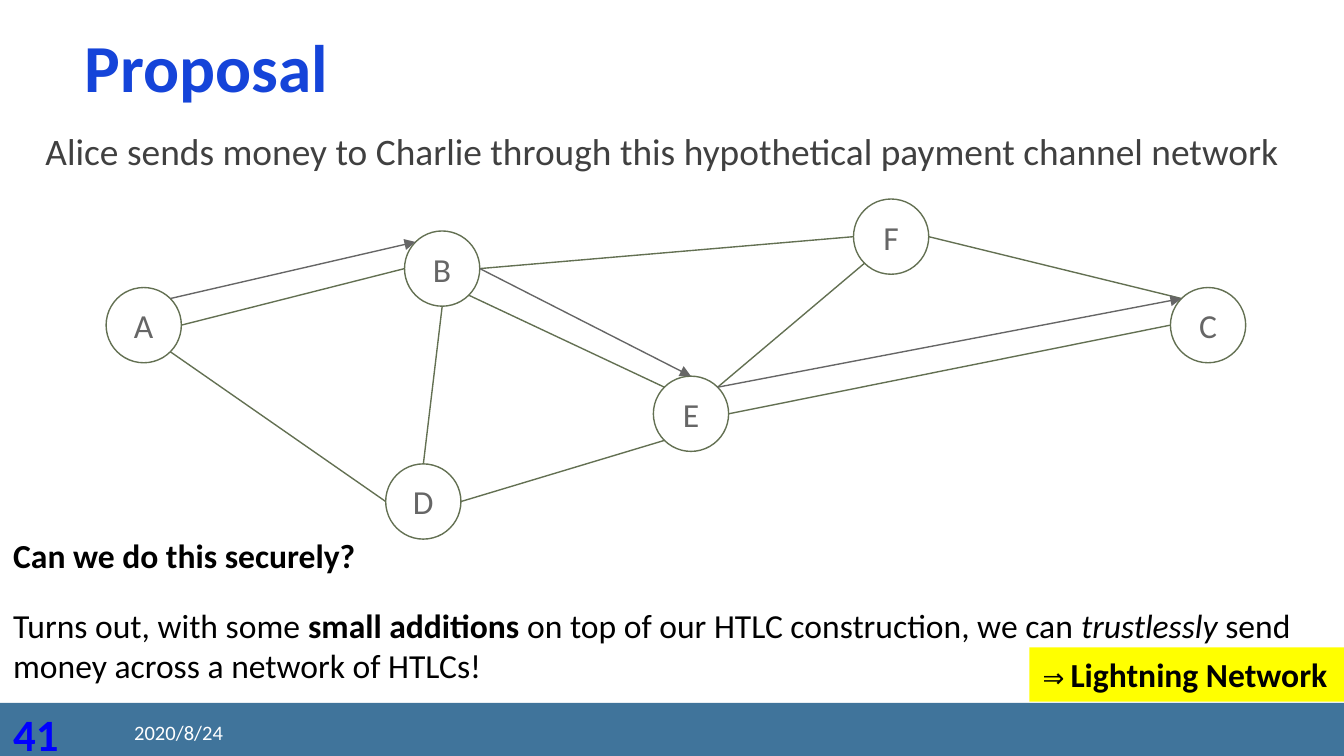
import math

import pptx
import pptx.dml.color
import pptx.enum.shapes
import pptx.enum.text
import pptx.util
import lxml.etree
import pptx.oxml.ns

Pt = pptx.util.Pt
RGB = pptx.dml.color.RGBColor
SHAPE = pptx.enum.shapes.MSO_SHAPE
ANCHOR = pptx.enum.text.MSO_ANCHOR
ALIGN = pptx.enum.text.PP_ALIGN

WHITE = RGB(0xFF, 0xFF, 0xFF)
BLACK = RGB(0x00, 0x00, 0x00)
BLUE = RGB(0x15, 0x44, 0xD9)
PAGE = RGB(0x00, 0x00, 0xFF)
STEEL = RGB(0x40, 0x74, 0x9B)
YELLOW = RGB(0xFF, 0xFF, 0x00)
DARK = RGB(0x40, 0x40, 0x40)
GREY = RGB(0x66, 0x66, 0x66)
OLIVE = RGB(0x63, 0x70, 0x52)

FONT = "Calibri"
SIZE = 40.3
NODES = {
    "A": (77, 174.2),
    "B": (236.9, 143.9),
    "D": (226.8, 268.7),
    "E": (370.2, 221.7),
    "F": (477.4, 126.8),
    "C": (647.2, 174.2),
}
ANGLES = {"E": 0, "SE": 45, "S": 90, "SW": 135, "W": 180, "NW": 225, "N": 270, "NE": 315}
LINKS = [
    ("A", "E", "B", "W"),
    ("A", "SE", "D", "W"),
    ("D", "N", "B", "S"),
    ("B", "E", "F", "W"),
    ("B", "SE", "E", "NW"),
    ("D", "E", "E", "SW"),
    ("E", "E", "C", "W"),
    ("F", "E", "C", "NW"),
    ("E", "NE", "F", "SW"),
]
HOPS = [("A", "NE", "B", "NW"), ("B", "E", "E", "N"), ("E", "NE", "C", "NW")]


def add_run(para, text, size, color, bold=False, italic=False):
    """Append one styled run to a paragraph."""
    run = para.add_run()
    run.text = text
    font = run.font
    font.name, font.size = FONT, Pt(size)
    font.bold, font.italic = bold, italic
    font.color.rgb = color


def set_frame(frame, side=7.2, top=3.6, anchor=ANCHOR.TOP, wrap=True):
    """Set the margins, anchor and wrapping of a text frame."""
    frame.auto_size = pptx.enum.text.MSO_AUTO_SIZE.NONE
    frame.margin_left = frame.margin_right = Pt(side)
    frame.margin_top = frame.margin_bottom = Pt(top)
    frame.vertical_anchor = anchor
    frame.word_wrap = wrap
    return frame


def add_box(slide, place, **style):
    """Add a text box and return its frame."""
    box = slide.shapes.add_textbox(*map(Pt, place))
    return set_frame(box.text_frame, **style)


def add_rect(slide, place, color):
    """Add a plain filled rectangle."""
    rect = slide.shapes.add_shape(SHAPE.RECTANGLE, *map(Pt, place))
    rect.shadow.inherit = False
    rect.fill.solid()
    rect.fill.fore_color.rgb = color
    rect.line.fill.background()
    return rect


def set_title(slide, text):
    """Place and fill the title."""
    title = slide.shapes.title
    title.left, title.top, title.width, title.height = map(Pt, (38.2, 11.5, 662.4, 46.8))
    para = set_frame(title.text_frame, top=7.2).paragraphs[0]
    para.alignment, para.line_spacing = ALIGN.LEFT, 0.9
    add_run(para, text, 36, BLUE, bold=True)


def add_node(slide, name):
    """Add one lettered circle of the network."""
    x, y = NODES[name]
    place = (x - SIZE / 2, y - SIZE / 2, SIZE, SIZE)
    node = slide.shapes.add_shape(SHAPE.OVAL, *map(Pt, place))
    node.shadow.inherit = False
    node.fill.background()
    node.line.color.rgb, node.line.width = OLIVE, Pt(0.75)
    para = set_frame(node.text_frame, top=7.2, anchor=ANCHOR.MIDDLE).paragraphs[0]
    para.alignment = ALIGN.CENTER
    add_run(para, name, 18, GREY)


def find_rim(name, side):
    """Return the point on a node's rim at a compass side."""
    x, y = NODES[name]
    turn = math.radians(ANGLES[side])
    return Pt(x + SIZE / 2 * math.cos(turn)), Pt(y + SIZE / 2 * math.sin(turn))


def add_link(slide, link, color, arrow=False):
    """Join two nodes with a line or an arrow."""
    start, side, end, face = link
    line = slide.shapes.add_connector(
        pptx.enum.shapes.MSO_CONNECTOR.STRAIGHT, *find_rim(start, side), *find_rim(end, face)
    )
    line.line.color.rgb, line.line.width = color, Pt(0.75)
    qn = pptx.oxml.ns.qn
    if arrow:
        lxml.etree.SubElement(line.line._get_or_add_ln(), qn("a:tailEnd"), type="triangle")
    lxml.etree.SubElement(line._element.spPr, qn("a:effectLst"))


def add_footer(slide):
    """Add the bottom band with page number and date."""
    add_rect(slide, (0, 376.6, 720, 28.4), STEEL)
    page = add_box(slide, (0, 375.1, 49.7, 28.8))
    add_run(page.paragraphs[0], "41", 24, PAGE, bold=True)
    date = add_box(slide, (64.8, 381.6, 146.2, 21.6), anchor=ANCHOR.MIDDLE)
    add_run(date.paragraphs[0], "2020/8/24", 11, WHITE)


def add_answer(slide):
    """Add the closing question, its answer and the highlighted name."""
    frame = add_box(slide, (0, 283, 720, 88.6))
    add_run(frame.paragraphs[0], "Can we do this securely?", 18, BLACK, bold=True)
    para = frame.add_paragraph()
    para.space_before = Pt(16)
    add_run(para, "Turns out, with some ", 18, BLACK)
    add_run(para, "small additions ", 18, BLACK, bold=True)
    add_run(para, "on top of our HTLC construction, we can ", 18, BLACK)
    add_run(para, "trustlessly", 18, BLACK, italic=True)
    add_run(para, " send money across a network of HTLCs!", 18, BLACK)
    label = add_rect(slide, (551.5, 346.8, 168.5, 29.1), YELLOW)
    para = set_frame(label.text_frame, wrap=False).paragraphs[0]
    para.alignment = ALIGN.LEFT
    add_run(para, "⇒ ", 14, BLACK)
    add_run(para, "Lightning Network", 18, BLACK, bold=True)


def main():
    """Build and save the slide."""
    deck = pptx.Presentation()
    deck.slide_width, deck.slide_height = Pt(720), Pt(405)
    slide = deck.slides.add_slide(deck.slide_layouts[5])
    add_footer(slide)
    set_title(slide, "Proposal")
    para = add_box(slide, (17.3, 64.1, 684, 38.2), top=7.2).paragraphs[0]
    para.line_spacing = 0.9
    text = "Alice sends money to Charlie through this hypothetical payment channel network"
    add_run(para, text, 20, DARK)
    for name in NODES:
        add_node(slide, name)
    for link in LINKS:
        add_link(slide, link, OLIVE)
    for hop in HOPS:
        add_link(slide, hop, GREY, arrow=True)
    add_answer(slide)
    deck.save("out.pptx")


if __name__ == "__main__":
    main()
